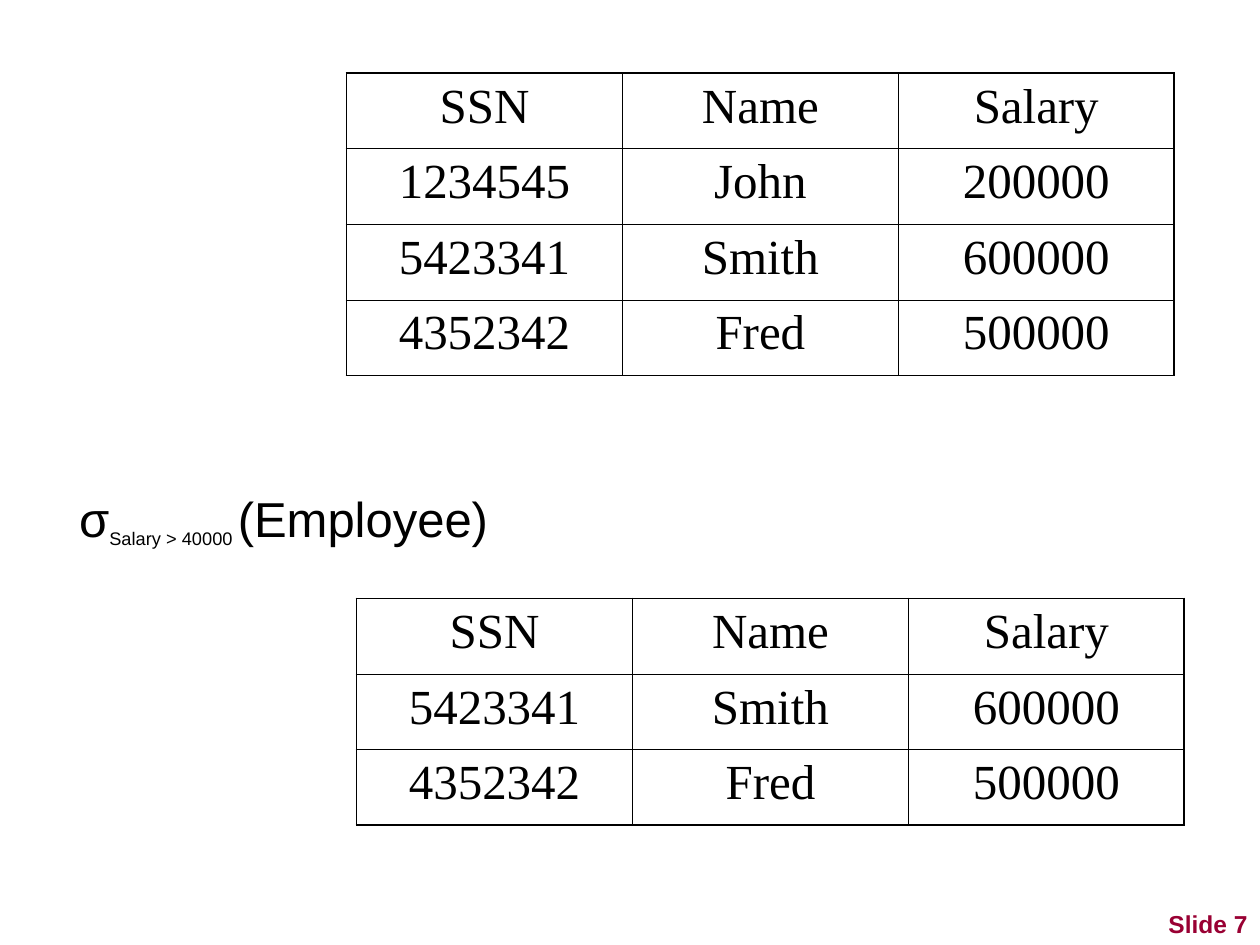
from lxml import etree
from pptx import Presentation
from pptx.dml.color import RGBColor
from pptx.enum.text import MSO_ANCHOR, PP_ALIGN
from pptx.oxml.ns import qn
from pptx.util import Inches, Pt

CENTER, RIGHT = PP_ALIGN.CENTER, PP_ALIGN.RIGHT
BOTTOM = MSO_ANCHOR.BOTTOM
COLORS = {"ink": "000000", "accent": "990033"}
OUTER_LINE, INNER_LINE = Pt(1.08), Pt(0.45)
COLUMN_WIDTH, ROW_HEIGHT = 2.19, 0.6

HEADER = ("SSN", "Name", "Salary")
EMPLOYEES = [
    ("1234545", "John", "200000"),
    ("5423341", "Smith", "600000"),
    ("4352342", "Fred", "500000"),
]
SELECTED = EMPLOYEES[1:]


def style_font(font, name, size, color):
    font.name = name
    font.size = Pt(size)
    font.color.rgb = RGBColor.from_string(COLORS[color])


def set_borders(cell, outer_sides):
    properties = cell._tc.get_or_add_tcPr()
    for side in ("L", "R", "T", "B"):
        width = OUTER_LINE if side in outer_sides else INNER_LINE
        line = etree.SubElement(properties, qn(f"a:ln{side}"), w=str(int(width)))
        fill = etree.SubElement(line, qn("a:solidFill"))
        etree.SubElement(fill, qn("a:srgbClr"), val=COLORS["ink"])


def add_relation(page, left, top, records):
    rows = [HEADER, *records]
    last_row, last_column = len(rows) - 1, len(HEADER) - 1
    frame = page.shapes.add_table(
        len(rows), len(HEADER), Inches(left), Inches(top),
        Inches(COLUMN_WIDTH * len(HEADER)), Inches(ROW_HEIGHT * len(rows)))
    table = frame.table
    table.first_row = False
    table.horz_banding = False
    for column in table.columns:
        column.width = Inches(COLUMN_WIDTH)
    for row_index, values in enumerate(rows):
        table.rows[row_index].height = Inches(ROW_HEIGHT)
        for column_index, value in enumerate(values):
            cell = table.cell(row_index, column_index)
            edges = {"L": column_index == 0, "R": column_index == last_column,
                     "T": row_index == 0, "B": row_index == last_row}
            set_borders(cell, [side for side, is_outer in edges.items() if is_outer])
            cell.fill.background()
            para = cell.text_frame.paragraphs[0]
            para.text = value
            para.alignment = CENTER
            para.space_before = Pt(7)
            style_font(para.font, "Times New Roman", 28, "ink")


def add_text_box(page, left, top, width, height):
    box = page.shapes.add_textbox(Inches(left), Inches(top), Inches(width), Inches(height))
    box.text_frame.word_wrap = True
    return box.text_frame


def add_selection(page, left, top, width, height):
    para = add_text_box(page, left, top, width, height).paragraphs[0]
    para.space_before = Pt(7)
    style_font(para.font, "Arial", 28, "ink")
    for text in ("σ", "Salary > 40000 ", "(Employee)"):
        span = para.add_run()
        span.text = text
        if text.startswith("Salary"):
            span.font.size = Pt(18)
            span._r.get_or_add_rPr().set("baseline", "-25000")


def add_slide_number(page, left, top, width, height):
    frame = add_text_box(page, left, top, width, height)
    frame.vertical_anchor = BOTTOM
    para = frame.paragraphs[0]
    para.text = "Slide 7"
    para.alignment = RIGHT
    para.font.bold = True
    style_font(para.font, "Arial", 14, "accent")


def build_selection_slide(deck):
    page = deck.slides.add_slide(deck.slide_layouts[6])
    add_selection(page, 0.53, 3.83, 3.47, 0.58)
    add_relation(page, 2.75, 0.58, EMPLOYEES)
    add_relation(page, 2.83, 4.75, SELECTED)
    add_slide_number(page, 7.92, 7, 2.08, 0.5)


deck = Presentation()
deck.slide_width = Inches(10)
deck.slide_height = Inches(7.5)
build_selection_slide(deck)
deck.save("out.pptx")
